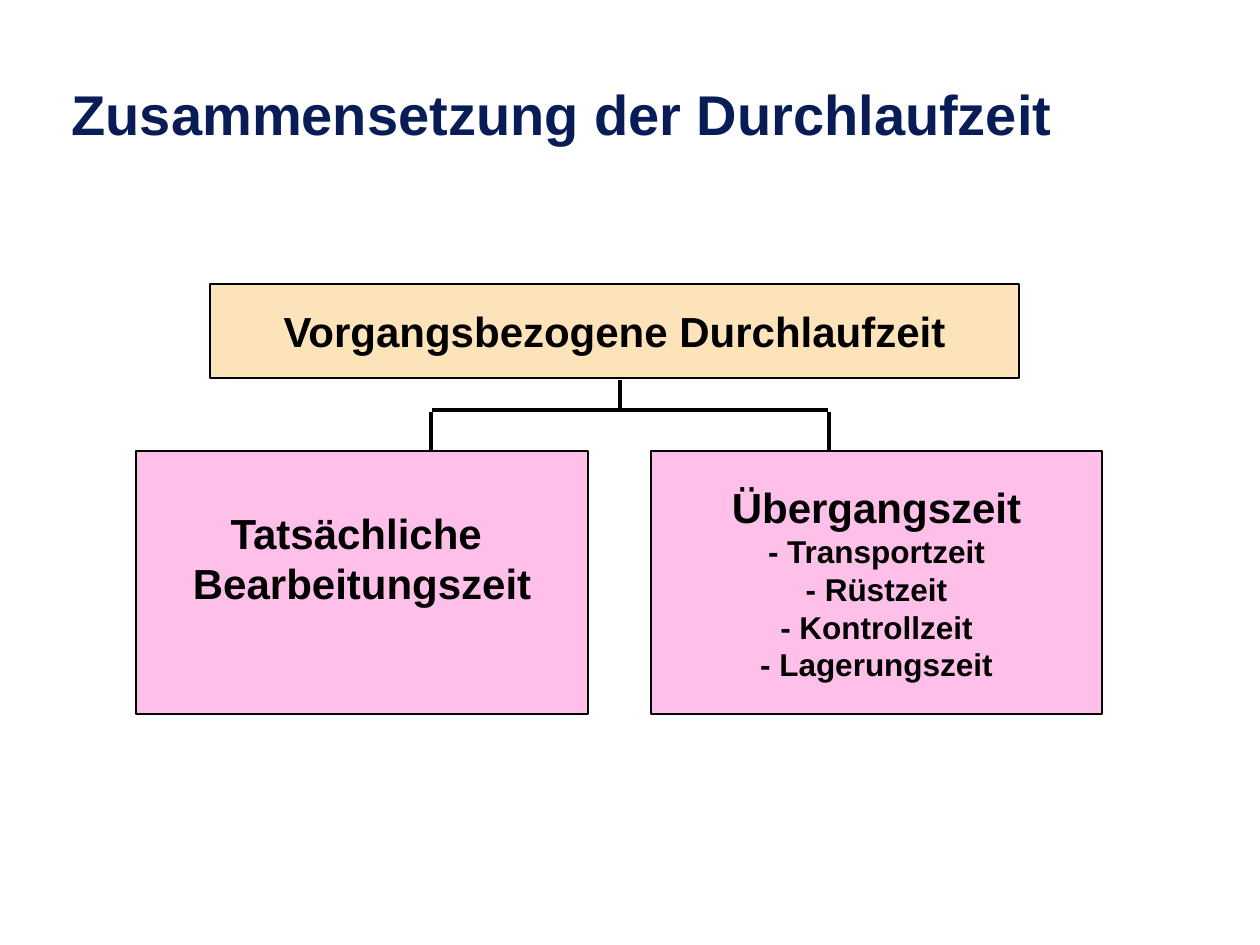
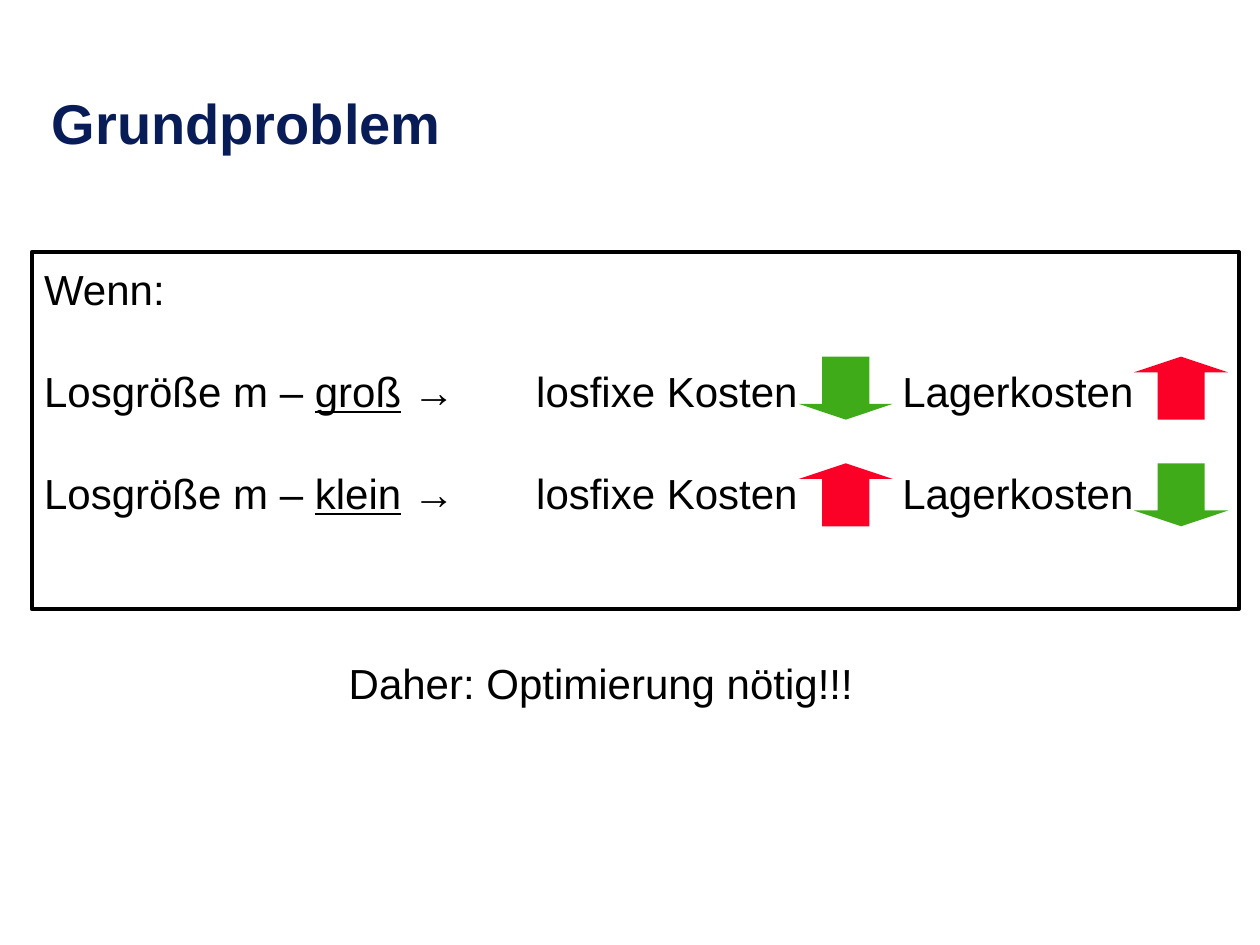
from lxml import etree
from pptx import Presentation
from pptx.dml.color import RGBColor
from pptx.enum.shapes import MSO_CONNECTOR, MSO_SHAPE
from pptx.enum.text import MSO_ANCHOR, MSO_AUTO_SIZE, PP_ALIGN
from pptx.oxml.ns import qn
from pptx.util import Cm, Pt

RECTANGLE, UP, DOWN = MSO_SHAPE.RECTANGLE, MSO_SHAPE.UP_ARROW, MSO_SHAPE.DOWN_ARROW
STRAIGHT = MSO_CONNECTOR.STRAIGHT
LEFT, CENTER = PP_ALIGN.LEFT, PP_ALIGN.CENTER
BOTTOM, MIDDLE = MSO_ANCHOR.BOTTOM, MSO_ANCHOR.MIDDLE

FONT = "Arial"
NAVY, BLACK = "081D58", "000000"
CREAM, PINK = "FDE3BA", "FEC0E9"
RED, GREEN = "FC0128", "3FAB19"
TITLE_SIZE, TEXT_SIZE, DETAIL_SIZE = 32, 24, 18

prs = Presentation()
prs.slide_width, prs.slide_height = Cm(25.4), Cm(19.05)


def add_run(paragraph, text, size=TEXT_SIZE, color=BLACK, bold=False, underline=False):
    run = paragraph.add_run()
    run.text = text
    run.font.name, run.font.size = FONT, Pt(size)
    run.font.bold, run.font.underline = bold, underline
    run.font.color.rgb = RGBColor.from_string(color)


def add_titled_slide(heading, left, top):
    slide = prs.slides.add_slide(prs.slide_layouts[5])
    title = slide.shapes.title
    title.left, title.top, title.width, title.height = Cm(left), Cm(top), Cm(21.59), Cm(2.02)
    frame = title.text_frame
    frame.auto_size = MSO_AUTO_SIZE.NONE
    frame.vertical_anchor = BOTTOM
    frame.paragraphs[0].alignment = LEFT
    add_run(frame.paragraphs[0], heading, TITLE_SIZE, NAVY, bold=True)
    return slide


# Slide 1: how the lead time is made up
slide = add_titled_slide("Zusammensetzung der Durchlaufzeit", 1.19, 1.07)

# Left, top, width, height, fill, bottom inset, lines with their sizes
time_boxes = [
    (4.24, 5.72, 16.3, 1.9, CREAM, 0.13,
     [("Vorgangsbezogene Durchlaufzeit", TEXT_SIZE)]),
    (2.75, 9.1, 9.1, 5.29, PINK, 1.13,
     [("Tatsächliche ", TEXT_SIZE), ("Bearbeitungszeit", TEXT_SIZE)]),
    (13.12, 9.1, 9.1, 5.29, PINK, 0.13,
     [("Übergangszeit", TEXT_SIZE)]
     + [(f"- {part}", DETAIL_SIZE)
        for part in ("Transportzeit", "Rüstzeit", "Kontrollzeit", "Lagerungszeit")]),
]
for left, top, width, height, fill, bottom_inset, lines in time_boxes:
    box = slide.shapes.add_shape(RECTANGLE, Cm(left), Cm(top), Cm(width), Cm(height))
    box.shadow.inherit = False
    box.fill.solid()
    box.fill.fore_color.rgb = RGBColor.from_string(fill)
    box.line.color.rgb = RGBColor.from_string(BLACK)
    box.line.width = Pt(1)
    frame = box.text_frame
    frame.word_wrap = False
    frame.vertical_anchor = MIDDLE
    frame.margin_bottom = Cm(bottom_inset)
    for number, (text, size) in enumerate(lines):
        paragraph = frame.add_paragraph() if number else frame.paragraphs[0]
        paragraph.alignment = CENTER
        add_run(paragraph, text, size, bold=True)

# Crossbar, the two drops and the stem
branches = [
    (8.71, 8.26, 16.69, 8.26),
    (8.69, 8.31, 8.69, 9.07),
    (16.71, 8.31, 16.71, 9.07),
    (12.5, 7.67, 12.5, 8.23),
]
for branch in branches:
    line = slide.shapes.add_connector(STRAIGHT, *[Cm(value) for value in branch])
    line.line.color.rgb = RGBColor.from_string(BLACK)
    line.line.width = Pt(2)
    etree.SubElement(line._element.spPr, qn("a:effectLst"))

# Slide 2: the trade-off of lot sizes
slide = add_titled_slide("Grundproblem", 0.79, 1.24)

cases = slide.shapes.add_textbox(Cm(0.64), Cm(5.18), Cm(24.13), Cm(5.33)).text_frame
cases.word_wrap = True
add_run(cases.paragraphs[0], "Wenn:")
for lot_size in ("groß", "klein"):
    paragraph = cases.add_paragraph()
    paragraph.space_before = Pt(29.5)
    tab_list = etree.SubElement(paragraph._p.get_or_add_pPr(), qn("a:tabLst"))
    for position in (9.92, 17.3):
        etree.SubElement(tab_list, qn("a:tab"), pos=str(Cm(position)), algn="l")
    add_run(paragraph, "Losgröße m – ")
    add_run(paragraph, lot_size, underline=True)
    add_run(paragraph, " →\tlosfixe Kosten\tLagerkosten")

arrow_rows = [(7.19, (DOWN, UP)), (9.34, (UP, DOWN))]
for top, directions in arrow_rows:
    for left, direction in zip((16.1, 22.86), directions):
        arrow = slide.shapes.add_shape(direction, Cm(left), Cm(top), Cm(1.9), Cm(1.27))
        arrow.adjustments[0], arrow.adjustments[1] = 0.5, 0.25
        arrow.shadow.inherit = False
        arrow.fill.solid()
        arrow.fill.fore_color.rgb = RGBColor.from_string(RED if direction == UP else GREEN)
        arrow.line.fill.background()

conclusion = slide.shapes.add_textbox(Cm(6.78), Cm(13.13), Cm(10.67), Cm(1.27)).text_frame
conclusion.word_wrap = False
add_run(conclusion.paragraphs[0], "Daher: Optimierung nötig!!!")

border = slide.shapes.add_shape(RECTANGLE, Cm(0.64), Cm(5.08), Cm(24.34), Cm(7.2))
border.shadow.inherit = False
border.fill.background()
border.line.color.rgb = RGBColor.from_string(BLACK)
border.line.width = Pt(2.25)

prs.save("out.pptx")
